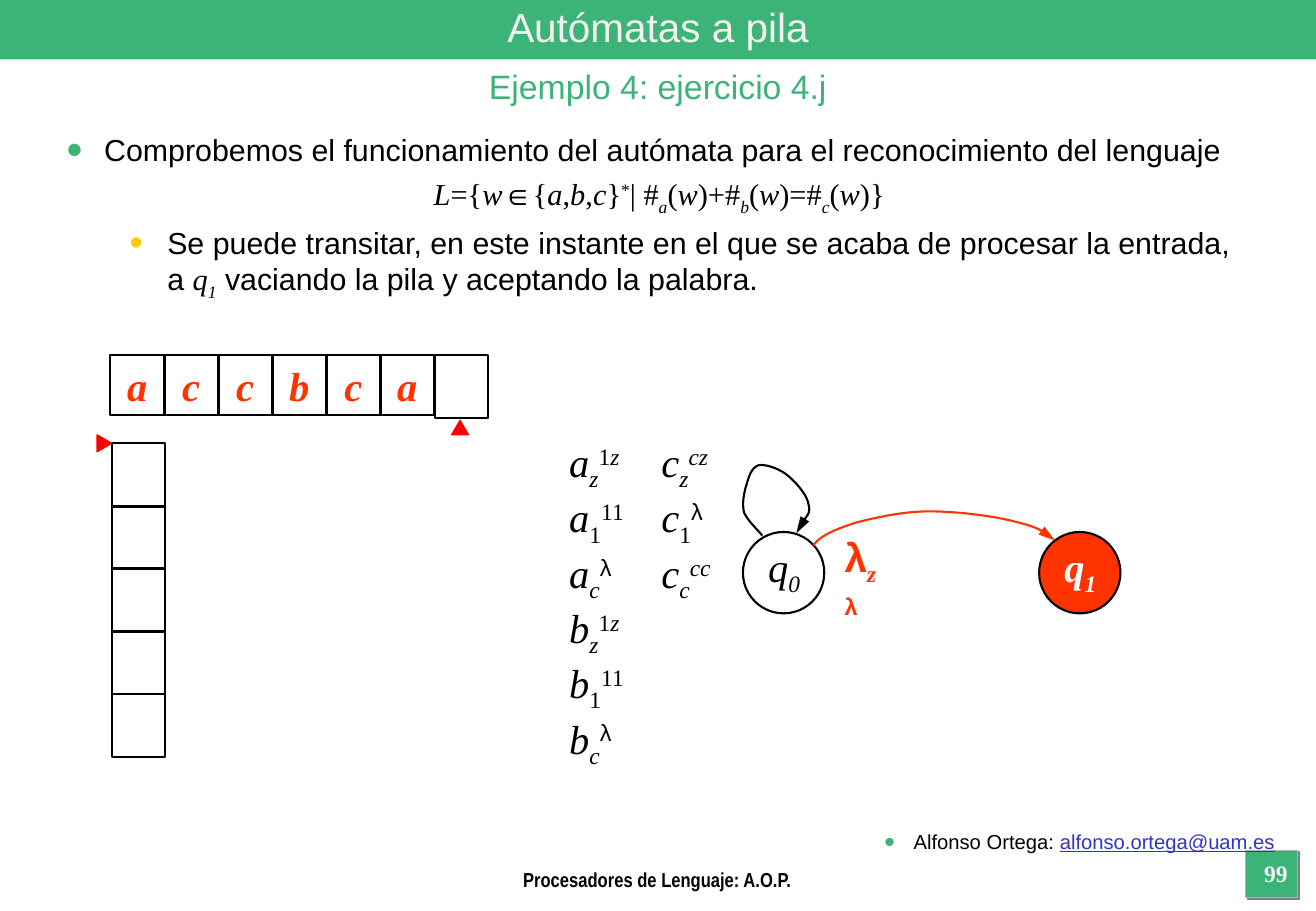
"""Build the slide that traces a pushdown automaton on its input word."""
import dataclasses
import itertools

import lxml.etree
import pptx
import pptx.dml.color
import pptx.enum.shapes
import pptx.enum.text
import pptx.oxml.ns
import pptx.util

Inches = pptx.util.Inches
SHAPE = pptx.enum.shapes.MSO_SHAPE
ALIGN = pptx.enum.text.PP_ALIGN
ANCHOR = pptx.enum.text.MSO_ANCHOR
qn = pptx.oxml.ns.qn


@dataclasses.dataclass(frozen=True)
class Theme:
    """Colours, fonts and type sizes of the slide."""
    green: str = "3CB478"
    yellow: str = "FFCC00"
    orange: str = "FF3300"
    red: str = "FF0000"
    black: str = "000000"
    pale: str = "F2F2F2"
    state: str = "FAFAFA"
    link: str = "3333CC"
    frame: str = "B2B2B2"
    shade: str = "808080"
    sans: str = "Arial"
    narrow: str = "Arial Narrow"
    serif: str = "Times New Roman"
    large: int = 24
    subtitle: int = 20
    body: int = 18
    number: int = 14
    small: int = 12


THEME = Theme()
SUB, SUPER = -25, 30


def rgb(value):
    """Turn a hexadecimal string into a colour."""
    return pptx.dml.color.RGBColor.from_string(value)


def child(parent, tag, **attributes):
    """Append an XML element and return it."""
    return lxml.etree.SubElement(parent, qn(tag), attributes)


def span(para, text, size=THEME.large, font=THEME.sans, color=THEME.black,
         bold=False, italic=False, underline=False, base=0):
    """Add formatted text to a paragraph."""
    run = para.add_run()
    run.text = text
    run.font.size = pptx.util.Pt(size)
    run.font.name = font
    run.font.color.rgb = rgb(color)
    run.font.bold, run.font.italic = bold, italic
    if underline:
        run.font.underline = True
    if base:
        run.font._element.set("baseline", str(base * 1000))


def math_style(character):
    """Choose the font and slant of a mathematical character."""
    if character in "λ∈":
        return THEME.sans, False
    return THEME.serif, character.isalpha()


def formula(para, *pieces, **style):
    """Add mathematical pieces, each a text or a text with its baseline."""
    for piece in pieces:
        text, base = (piece, 0) if isinstance(piece, str) else piece
        for (font, italic), group in itertools.groupby(text, math_style):
            span(para, "".join(group), font=font, italic=italic, base=base, **style)


def state_name(para, digit, **style):
    """Add the name of a state with its subscript."""
    for text, base in (("q", 0), (digit, SUB)):
        span(para, text, font=THEME.serif, italic=True, base=base, **style)


def bullet(para, color, percent, margin, hanging):
    """Give a paragraph a round bullet and a hanging indent."""
    properties = para._p.get_or_add_pPr()
    properties.set("marL", str(Inches(margin)))
    properties.set("indent", str(-Inches(hanging)))
    child(child(properties, "a:buClr"), "a:srgbClr", val=color)
    child(properties, "a:buSzPct", val=str(percent * 1000))
    child(properties, "a:buFont", typeface=THEME.sans)
    child(properties, "a:buChar", char="•")


def text_box(page, left, top, width, height, align=ALIGN.LEFT, anchor=ANCHOR.TOP, wrap=True):
    """Add a text box and return its frame and first paragraph."""
    frame = page.shapes.add_textbox(*map(Inches, (left, top, width, height))).text_frame
    frame.word_wrap = wrap
    frame.vertical_anchor = anchor
    if not wrap:
        frame.auto_size = pptx.enum.text.MSO_AUTO_SIZE.SHAPE_TO_FIT_TEXT
    para = frame.paragraphs[0]
    para.alignment = align
    return frame, para


def paint(shape, fill=None, line=None, weight=1.25):
    """Set the fill and outline of a shape without a shadow."""
    shape.shadow.inherit = False
    if fill:
        shape.fill.solid()
        shape.fill.fore_color.rgb = rgb(fill)
    else:
        shape.fill.background()
    if line:
        shape.line.color.rgb = rgb(line)
        shape.line.width = pptx.util.Pt(weight)
    else:
        shape.line.fill.background()


def figure(page, kind, left, top, width, height, **style):
    """Add a painted preset shape."""
    shape = page.shapes.add_shape(kind, *map(Inches, (left, top, width, height)))
    paint(shape, **style)
    return shape


def curved_arrow(page, points, color):
    """Draw chained cubic curves that end in an arrowhead."""
    start, *rest = [(Inches(x), Inches(y)) for x, y in points]
    builder = page.shapes.build_freeform(*start)
    builder.add_line_segments(rest, close=False)
    shape = builder.convert_to_shape()
    paint(shape, line=color)
    outline = next(shape.element.iter(qn("a:path")))
    steps = outline.findall(qn("a:lnTo"))
    for first in range(0, len(steps), 3):
        curve = child(outline, "a:cubicBezTo")
        for step in steps[first:first + 3]:
            curve.append(step[0])
            outline.remove(step)
    child(shape.element.spPr.find(qn("a:ln")), "a:tailEnd", type="triangle", len="lg")


def frame_page(page):
    """Add the header band, titles, author, footer and page number."""
    badge = figure(page, SHAPE.RECTANGLE, 10.26, 7, 0.43, 0.39,
                   fill=THEME.green, line=THEME.frame, weight=0.75)
    shadow = child(badge.element.spPr.find(qn("a:effectLst")), "a:outerShdw",
                   dist=str(pptx.util.Pt(1.4)), dir="2700000", algn="ctr", rotWithShape="0")
    child(shadow, "a:srgbClr", val=THEME.shade)
    figure(page, SHAPE.RECTANGLE, 0, 0, 10.84, 0.49, fill=THEME.green)
    _, author = text_box(page, 3.02, 6.78, 7.58, 0.44, ALIGN.RIGHT)
    bullet(author, THEME.green, 150, 0.24, 0.24)
    span(author, "Alfonso Ortega: ", size=THEME.small)
    span(author, "alfonso.ortega@uam.es", size=THEME.small, color=THEME.link, underline=True)
    _, title = text_box(page, 0, 0, 10.84, 0.44, ALIGN.CENTER, ANCHOR.MIDDLE)
    span(title, "Autómatas a pila", color=THEME.pale)
    _, subtitle = text_box(page, 0, 0.49, 10.84, 0.44, ALIGN.CENTER)
    span(subtitle, "Ejemplo 4: ejercicio 4.j", size=THEME.subtitle, color=THEME.green)
    _, footer = text_box(page, 3.01, 7.09, 4.81, 0.18, ALIGN.CENTER)
    span(footer, "Procesadores de Lenguaje: A.O.P.", size=THEME.small, font=THEME.narrow, bold=True)
    _, number = text_box(page, 10.24, 7.02, 0.54, 0.35, ALIGN.CENTER)
    span(number, "99", size=THEME.number, font=THEME.serif, color=THEME.pale, bold=True)


def explain(page):
    """Add the statement, the language and the final step."""
    size = THEME.body
    frame, statement = text_box(page, 0.45, 1.03, 9.96, 1.6)
    bullet(statement, THEME.green, 150, 0.31, 0.31)
    span(statement, "Comprobemos el funcionamiento del autómata para el "
         "reconocimiento del lenguaje", size=size)
    language, step = frame.add_paragraph(), frame.add_paragraph()
    language.alignment = ALIGN.CENTER
    formula(language, "L={w∈{a,b,c}", ("*", SUPER), "| #", ("a", SUB), "(w)+#", ("b", SUB),
            "(w)=#", ("c", SUB), "(w)}", size=size)
    step.level = 1
    bullet(step, THEME.yellow, 125, 0.83, 0.31)
    span(step, "Se puede transitar, en este instante en el que se acaba de procesar "
         "la entrada, a ", size=size)
    state_name(step, "1", size=size)
    span(step, " vaciando la pila y aceptando la palabra.", size=size)
    for para in (language, step):
        para.space_before = pptx.util.Pt(4.5)


def draw_tape_and_stack(page):
    """Draw the input tape and the empty stack with their pointers."""
    for index, letter in enumerate("accbca"):
        cell = figure(page, SHAPE.RECTANGLE, 0.91 + 0.445 * index, 2.92, 0.44, 0.5, line=THEME.black)
        cell.text_frame.vertical_anchor = ANCHOR.TOP
        para = cell.text_frame.paragraphs[0]
        para.alignment = ALIGN.CENTER
        formula(para, letter, color=THEME.orange, bold=True)
    figure(page, SHAPE.RECTANGLE, 3.58, 2.92, 0.44, 0.52, line=THEME.black)
    for index in range(5):
        figure(page, SHAPE.RECTANGLE, 0.92, 3.65 + 0.515 * index, 0.44, 0.52, line=THEME.black)
    for left, top, turn in ((3.72, 3.46, 0), (0.79, 3.59, 90)):
        pointer = figure(page, SHAPE.ISOSCELES_TRIANGLE, left, top, 0.14, 0.12,
                         fill=THEME.red, line=THEME.red, weight=0.75)
        pointer.rotation = turn


def list_transitions(page, left, width, height, rules):
    """List transitions, each a symbol with its subscript and superscript."""
    frame, para = text_box(page, left, 3.55, width, height, wrap=False)
    for index, (symbol, top_of_stack, pushed) in enumerate(rules):
        para = frame.add_paragraph() if index else para
        formula(para, symbol, (top_of_stack, SUB), (pushed, SUPER))


def draw_automaton(page):
    """Draw the two states, their arrows and the transition labels."""
    for left, digit, fill, color in ((6.12, "0", None, THEME.black),
                                     (8.56, "1", THEME.orange, THEME.state)):
        figure(page, SHAPE.OVAL, left, 4.38, 0.67, 0.67, fill=fill, line=THEME.black)
        _, name = text_box(page, left + 0.11, 4.41, 0.46, 0.56, ALIGN.CENTER, wrap=False)
        state_name(name, digit, color=color, bold=bool(fill))
    curved_arrow(page, [(6.7, 4.49), (6.75, 4.41), (6.9, 4.35), (7.06, 4.3),
                        (7.22, 4.26), (7.44, 4.21), (7.65, 4.21), (7.86, 4.21), (8.12, 4.24),
                        (8.3, 4.28), (8.47, 4.32), (8.63, 4.37), (8.69, 4.45)], THEME.orange)
    curved_arrow(page, [(6.28, 4.41), (6.26, 4.38), (6.16, 4.29), (6.13, 4.22),
                        (6.11, 4.15), (6.13, 4.05), (6.15, 3.99), (6.17, 3.92), (6.19, 3.85),
                        (6.25, 3.83), (6.3, 3.82), (6.4, 3.85), (6.47, 3.9), (6.54, 3.95),
                        (6.65, 4.07), (6.66, 4.15), (6.68, 4.23), (6.58, 4.34), (6.56, 4.39)],
                 THEME.black)
    _, label = text_box(page, 6.86, 4.33, 0.54, 0.56)
    formula(label, "λ", ("z", SUB), ("λ", SUPER), color=THEME.orange, bold=True)
    list_transitions(page, 5.35, 0.65, 1.47, [("c", "z", "cz"), ("c", "1", "λ"), ("c", "c", "cc")])
    pushes = (("z", "1z"), ("1", "11"), ("c", "λ"))
    list_transitions(page, 4.59, 0.65, 2.83, [(symbol, *push) for symbol in "ab" for push in pushes])


def main():
    """Assemble and save the deck."""
    deck = pptx.Presentation()
    deck.slide_width, deck.slide_height = Inches(10.84), Inches(7.5)
    page = deck.slides.add_slide(deck.slide_layouts[6])
    frame_page(page)
    explain(page)
    draw_tape_and_stack(page)
    draw_automaton(page)
    deck.save("out.pptx")


if __name__ == "__main__":
    main()
